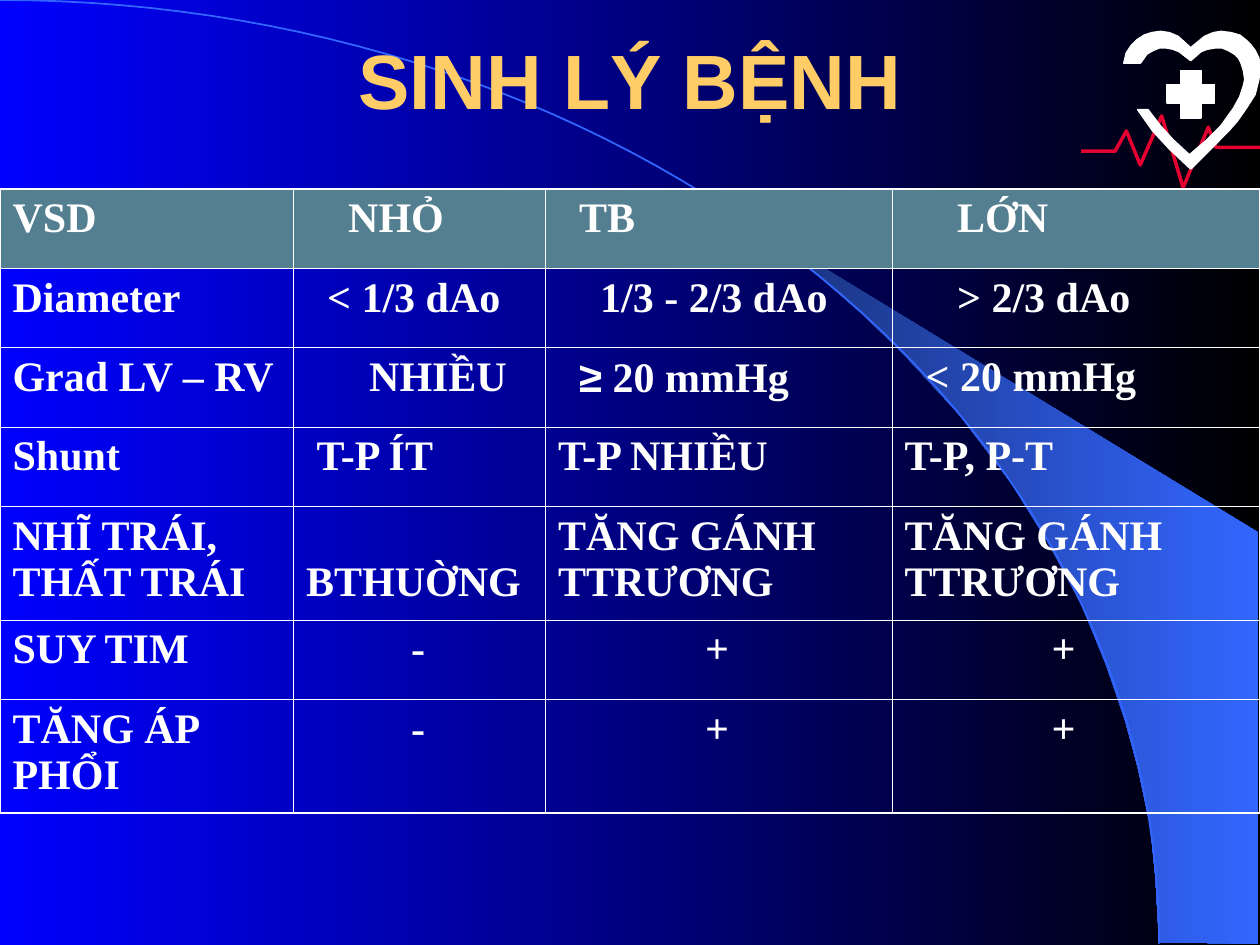
from dataclasses import dataclass
from itertools import groupby
from math import cos, pi, sin

from lxml import etree
from pptx import Presentation
from pptx import util as u
from pptx.dml.color import RGBColor
from pptx.enum import shapes, text
from pptx.oxml import ns


@dataclass(frozen=True)
class Theme:
    """Hold the colours, fonts and type sizes of the slide."""
    blue: str = "0000FF"
    black: str = "000000"
    navy: str = "182F76"
    sky: str = "3366FF"
    red: str = "E50032"
    white: str = "FFFFFF"
    gold: str = "FFCC66"
    teal: str = "547F90"
    heading_font: str = "Arial"
    body_font: str = "Times New Roman"
    title_size: int = 44
    cell_size: int = 24
    inner_border: float = 0.45
    outer_border: float = 1.08


THEME = Theme()
SPACE = 1 / 12
COLUMNS = [2.33, 2, 2.75, 2.92]
ROWS = [0.63, 0.63, 0.63, 0.63, 0.9, 0.63, 0.9]
CELLS = [
    ["VSD", "NHỎ", "TB", "LỚN"],
    ["Diameter", "< 1/3 dAo", "1/3 - 2/3 dAo", "> 2/3 dAo"],
    ["Grad LV – RV", "NHIỀU", "≥ 20 mmHg", "< 20 mmHg"],
    ["Shunt", "T-P ÍT", "T-P NHIỀU", "T-P, P-T"],
    ["NHĨ TRÁI, THẤT TRÁI", "BTHUỜNG", "TĂNG GÁNH TTRƯƠNG", "TĂNG GÁNH TTRƯƠNG"],
    ["SUY TIM", "-", "+", "+"],
    ["TĂNG ÁP PHỔI", "-", "+", "+"],
]
INDENTS = [
    [0, 4, 2, 5], [0, 2, 4, 5], [0, 6, 2, 2], [0, 1, 0, 0],
    [0, 0, 0, 0], [0, 10, 14, 14], [0, 10, 14, 14],
]
SWOOSH = [
    (9.2, 7.48), (9.99, 7.49), (9.99, 4.23), (5.89, 1.73), (6.24, 1.99), (6.53, 2.22),
    (6.85, 2.5), (7.16, 2.8), (7.62, 3.3), (8.03, 3.84), (8.32, 4.31), (8.58, 4.79),
    (8.78, 5.28), (8.93, 5.72), (9.03, 6.09), (9.13, 6.56), (9.17, 6.96),
]
PULSE = [
    (8.58, 1.2), (8.85, 1.2), (8.94, 1.04), (9.05, 1.31), (9.22, 0.92),
    (9.39, 1.49), (9.59, 1.01), (9.65, 1.17), (10, 1.17),
]
HEART = [
    (9.11, 0.87), (9.21, 1), (9.31, 1.11), (9.44, 1.23), (9.58, 1.11), (9.69, 1),
    (9.79, 0.86), (9.84, 0.77), (9.87, 0.68), (9.88, 0.63), (9.87, 0.56), (9.85, 0.5),
    (9.83, 0.46), (9.8, 0.43), (9.75, 0.4), (9.7, 0.38), (9.64, 0.38), (9.58, 0.39),
    (9.53, 0.41), (9.45, 0.48), (9.36, 0.41), (9.31, 0.39), (9.26, 0.38), (9.2, 0.38),
    (9.15, 0.4), (9.1, 0.43), (9.08, 0.46), (9.05, 0.5), (8.92, 0.5), (8.94, 0.42),
    (8.98, 0.36), (9.02, 0.32), (9.08, 0.28), (9.14, 0.26), (9.21, 0.25), (9.28, 0.26),
    (9.35, 0.29), (9.45, 0.38), (9.56, 0.29), (9.63, 0.26), (9.69, 0.25), (9.77, 0.26),
    (9.84, 0.28), (9.89, 0.32), (9.93, 0.36), (9.96, 0.4), (9.99, 0.46), (10, 0.54),
    (9.99, 0.63), (9.96, 0.75), (9.89, 0.86), (9.82, 0.96), (9.75, 1.04), (9.45, 1.34),
    (9.28, 1.18), (9.15, 1.04), (9.03, 0.87),
]


def rgb(value):
    """Turn a hex string into a colour."""
    return RGBColor.from_string(value)


def blend(fill, *colors):
    """Give a fill a left-to-right gradient of two colours."""
    fill.gradient()
    fill.gradient_angle = 0
    for position, (stop, color) in enumerate(zip(fill.gradient_stops, colors)):
        stop.position = position
        stop.color.rgb = rgb(color)


def paint(shape, fill=None, line=None, width=1):
    """Set the fill and line of a shape and drop its shadow."""
    shape.shadow.inherit = False
    if isinstance(fill, tuple):
        blend(shape.fill, *fill)
    elif fill:
        shape.fill.solid()
        shape.fill.fore_color.rgb = rgb(fill)
    else:
        shape.fill.background()
    if line:
        shape.line.color.rgb = rgb(line)
        shape.line.width = u.Pt(width)
    else:
        shape.line.fill.background()


def outline(page, points, closed=True, **style):
    """Draw a freeform through points given in inches."""
    first, *rest = [(u.Inches(x), u.Inches(y)) for x, y in points]
    builder = page.shapes.build_freeform(*first)
    builder.add_line_segments(rest, close=closed)
    paint(builder.convert_to_shape(), **style)


def bar(page, *place):
    """Draw one white bar of the cross."""
    box = page.shapes.add_shape(shapes.MSO_SHAPE.RECTANGLE, *map(u.Inches, place))
    paint(box, fill=THEME.white, line=THEME.white)


def write(frame, words, font, size, color, align=text.PP_ALIGN.LEFT, indent=0):
    """Write one bold paragraph, with the sign ≥ in the heading font."""
    frame.word_wrap = True
    para = frame.paragraphs[0]
    para.alignment = align
    if indent:
        para._p.get_or_add_pPr().set("marL", str(u.Inches(indent)))
    for is_sign, letters in groupby(words, lambda letter: letter == "≥"):
        span = para.add_run()
        span.text = "".join(letters)
        span.font.name = THEME.heading_font if is_sign else font
        span.font.size = u.Pt(size)
        span.font.bold = True
        span.font.color.rgb = rgb(color)


def border(cell, outer_sides):
    """Line the four sides of a cell, heavier on the outer ones."""
    props = cell._tc.get_or_add_tcPr()
    for side in "LRTB":
        width = THEME.outer_border if side in outer_sides else THEME.inner_border
        edge = etree.SubElement(props, ns.qn(f"a:ln{side}"), w=str(u.Pt(width)))
        solid = etree.SubElement(edge, ns.qn("a:solidFill"))
        etree.SubElement(solid, ns.qn("a:srgbClr"), val=THEME.white)


def add_comparison(page):
    """Add the table that compares the defect sizes."""
    frame = page.shapes.add_table(len(ROWS), len(COLUMNS), 0, u.Inches(1.5),
                                  u.Inches(sum(COLUMNS)), u.Inches(sum(ROWS)))
    table = frame.table
    table.first_row = table.horz_banding = False
    for column, width in zip(table.columns, COLUMNS):
        column.width = u.Inches(width)
    for r, height in enumerate(ROWS):
        table.rows[r].height = u.Inches(height)
        for c, words in enumerate(CELLS[r]):
            cell = table.cell(r, c)
            edges = {"L": c == 0, "R": c == len(COLUMNS) - 1,
                     "T": r == 0, "B": r == len(ROWS) - 1}
            border(cell, [side for side, is_outer in edges.items() if is_outer])
            if r == 0:
                cell.fill.solid()
                cell.fill.fore_color.rgb = rgb(THEME.teal)
            else:
                cell.fill.background()
            write(cell.text_frame, words, THEME.body_font, THEME.cell_size,
                  THEME.white, indent=INDENTS[r][c] * SPACE)
    table.cell(4, 1).margin_top = u.Inches(0.42)


def add_title(page):
    """Add the centred slide title."""
    box = page.shapes.add_textbox(*map(u.Inches, (0.75, 0.25, 8.5, 0.75)))
    box.text_frame.vertical_anchor = text.MSO_ANCHOR.MIDDLE
    write(box.text_frame, "SINH LÝ BỆNH", THEME.heading_font, THEME.title_size,
          THEME.gold, align=text.PP_ALIGN.CENTER)


def add_scenery(page):
    """Add the gradient, the arc, the pulse line and the heart."""
    blend(page.background.fill, THEME.blue, THEME.black)
    outline(page, SWOOSH, fill=(THEME.navy, THEME.sky))
    turns = [step * pi / 120 for step in range(61)]
    arc = [(9.2 * sin(turn), 7.49 * (1 - cos(turn))) for turn in turns]
    outline(page, arc, closed=False, line=THEME.sky)
    outline(page, PULSE, closed=False, line=THEME.red, width=2)
    bar(page, 9.37, 0.56, 0.16, 0.38)
    bar(page, 9.26, 0.67, 0.38, 0.15)
    outline(page, HEART, fill=THEME.white, line=THEME.white)


def main():
    """Build the slide and save it."""
    deck = Presentation()
    deck.slide_width, deck.slide_height = u.Inches(10), u.Inches(7.5)
    page = deck.slides.add_slide(deck.slide_layouts[6])
    add_scenery(page)
    add_title(page)
    add_comparison(page)
    deck.save("out.pptx")


if __name__ == "__main__":
    main()
